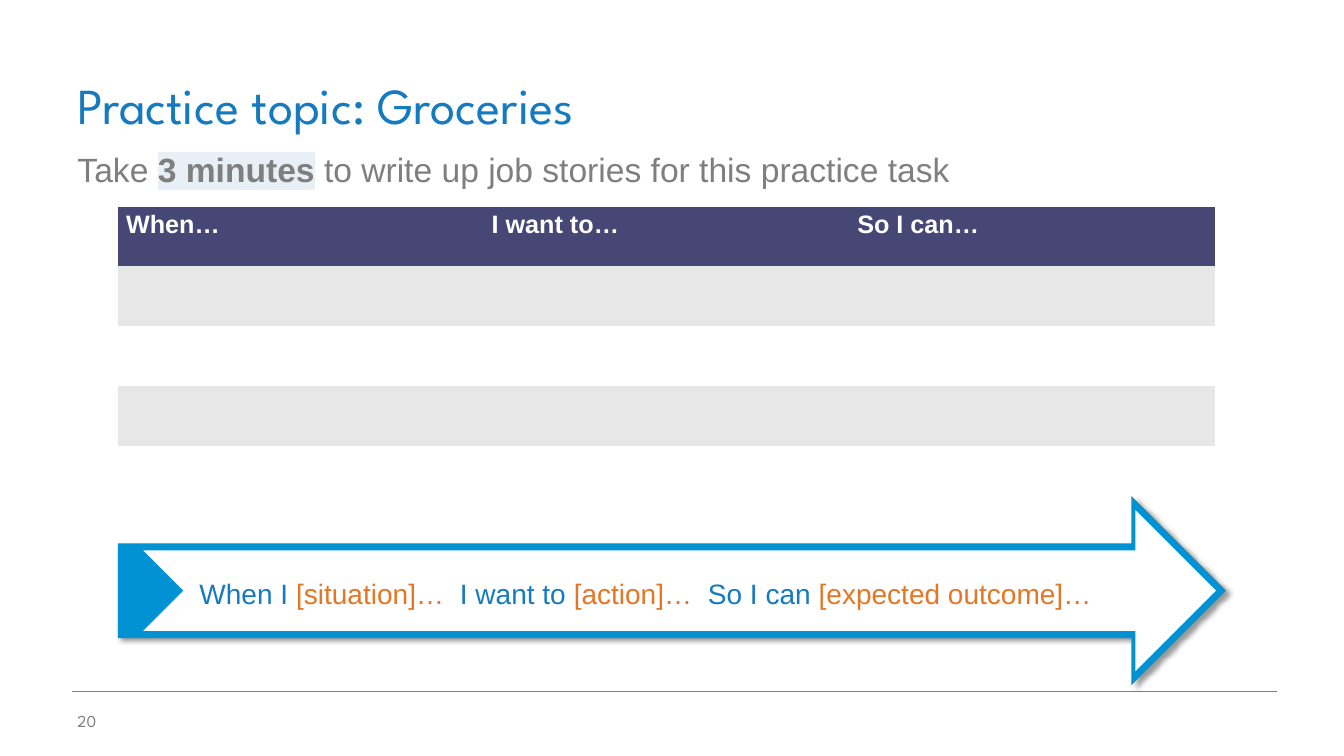
from pptx import Presentation
from pptx.dml.color import RGBColor
from pptx.enum.shapes import MSO_CONNECTOR, MSO_SHAPE
from pptx.enum.text import MSO_ANCHOR
from pptx.oxml.ns import qn
from pptx.util import Inches, Pt
from lxml import etree

LINE = MSO_CONNECTOR.STRAIGHT
ARROW = MSO_SHAPE.RIGHT_ARROW
NOTCHED_ARROW = MSO_SHAPE.NOTCHED_RIGHT_ARROW
TOP, MIDDLE, BOTTOM = MSO_ANCHOR.TOP, MSO_ANCHOR.MIDDLE, MSO_ANCHOR.BOTTOM

BLUE = RGBColor(0x15, 0x7A, 0xC0)
ARROW_BLUE = RGBColor(0x00, 0x92, 0xD2)
ORANGE = RGBColor(0xE4, 0x76, 0x25)
GRAY = RGBColor(0x7F, 0x7F, 0x7F)
NAVY = RGBColor(0x46, 0x47, 0x75)
BAND = RGBColor(0xE7, 0xE7, 0xE7)
PALE_BLUE = RGBColor(0xE9, 0xEF, 0xF7)
WHITE = RGBColor(0xFF, 0xFF, 0xFF)
BLACK = RGBColor(0x00, 0x00, 0x00)

HEADING_FONT, BODY_FONT = "League Spartan", "Arial"
PLAIN_TABLE = "{2D5ABB26-0587-4C30-8999-92F81FD0307C}"


def add_color(parent, color):
    return etree.SubElement(parent, qn("a:srgbClr"), val=str(color))


def add_run(p, text, size, color, font=BODY_FONT, bold=False, highlight=None):
    r = p.add_run()
    r.text = text
    r.font.size = Pt(size)
    r.font.bold = bold
    r.font.color.rgb = color
    if highlight is not None:
        rPr = r.font._element
        add_color(etree.SubElement(rPr, qn("a:highlight")), highlight)
    r.font.name = font


def add_text(s, x, y, w, h, anchor=TOP):
    """Add a wrapping text box and return its first paragraph."""
    tf = s.shapes.add_textbox(Inches(x), Inches(y), Inches(w), Inches(h)).text_frame
    tf.word_wrap = True
    tf.vertical_anchor = anchor
    return tf.paragraphs[0]


def add_arrow(s, kind, x, y, w, h, color):
    sp = s.shapes.add_shape(kind, Inches(x), Inches(y), Inches(w), Inches(h))
    sp.shadow.inherit = False
    sp.fill.solid()
    sp.fill.fore_color.rgb = color
    sp.line.fill.background()
    return sp


def add_shadow(sp, blur, distance, angle, opacity):
    effects = sp._element.spPr.find(qn("a:effectLst"))
    shadow = etree.SubElement(
        effects, qn("a:outerShdw"), blurRad=str(Pt(blur)), dist=str(Pt(distance)),
        dir=str(angle * 60000), algn="tl", rotWithShape="0")
    etree.SubElement(add_color(shadow, BLACK), qn("a:alpha"), val=str(opacity * 1000))


def build_header(s, x, y, w):
    p = add_text(s, x, y, w, 1.08, BOTTOM)
    add_run(p, "Practice topic: Groceries", 36, BLUE, HEADING_FONT)

    # Instruction
    p = add_text(s, x, y + 1.07, 10.22, 0.52)
    p.line_spacing = 1.15
    add_run(p, "Take ", 24, GRAY)
    add_run(p, "3 minutes", 24, GRAY, bold=True, highlight=PALE_BLUE)
    add_run(p, " to write up job stories for this practice task", 24, GRAY)


def build_story_table(s, x, y, w, h):
    headings = ["When…", "I want to…", "So I can…"]
    table = s.shapes.add_table(5, len(headings), Inches(x), Inches(y),
                               Inches(w), Inches(h)).table
    table.first_row = table.horz_banding = False
    table._tbl.tblPr.find(qn("a:tableStyleId")).text = PLAIN_TABLE

    # Header row, then alternating bands
    for i, row in enumerate(table.rows):
        for cell in row.cells:
            cell.fill.solid()
            cell.fill.fore_color.rgb = NAVY if i == 0 else BAND if i % 2 else WHITE
            cell.margin_left = cell.margin_right = Inches(0.08)
            cell.margin_top = cell.margin_bottom = Inches(0.04)
    for cell, heading in zip(table.rows[0].cells, headings):
        add_run(cell.text_frame.paragraphs[0], heading, 18, WHITE, bold=True)


def build_story_arrow(s, x, y, w, h):
    outer = add_arrow(s, ARROW, x, y, w, h, ARROW_BLUE)
    add_shadow(outer, blur=4, distance=3, angle=45, opacity=40)
    add_arrow(s, NOTCHED_ARROW, x + 0.25, y + 0.14, w - 0.35, h - 0.28, WHITE)

    # Job story pattern
    p = add_text(s, x + 0.71, y + 0.75, w - 1.05, 0.44)
    for lead, slot in [("When I ", "[situation]…  "),
                       ("I want to ", "[action]…  "),
                       ("So I can ", "[expected outcome]…")]:
        add_run(p, lead, 20, BLUE)
        add_run(p, slot, 20, ORANGE)


def build_footer(s, x, y, w):
    rule = s.shapes.add_connector(LINE, Inches(x + 0.04), Inches(y),
                                  Inches(x + w), Inches(y))
    rule.line.color.rgb = GRAY
    rule.line.width = Pt(0.25)
    etree.SubElement(rule._element.spPr, qn("a:effectLst"))
    p = add_text(s, x, y + 0.09, 1.43, 0.4, MIDDLE)
    add_run(p, "20", 12, GRAY, HEADING_FONT)


def main():
    prs = Presentation()
    prs.slide_width, prs.slide_height = Inches(13.33), Inches(7.5)
    s = prs.slides.add_slide(prs.slide_layouts[6])
    build_footer(s, 0.67, 6.86, 12)
    build_header(s, 0.67, 0.3, 12)
    build_story_table(s, 1.17, 2.05, 10.88, 2.97)
    build_story_arrow(s, 1.17, 4.92, 10.99, 1.88)
    prs.save("out.pptx")


if __name__ == "__main__":
    main()
